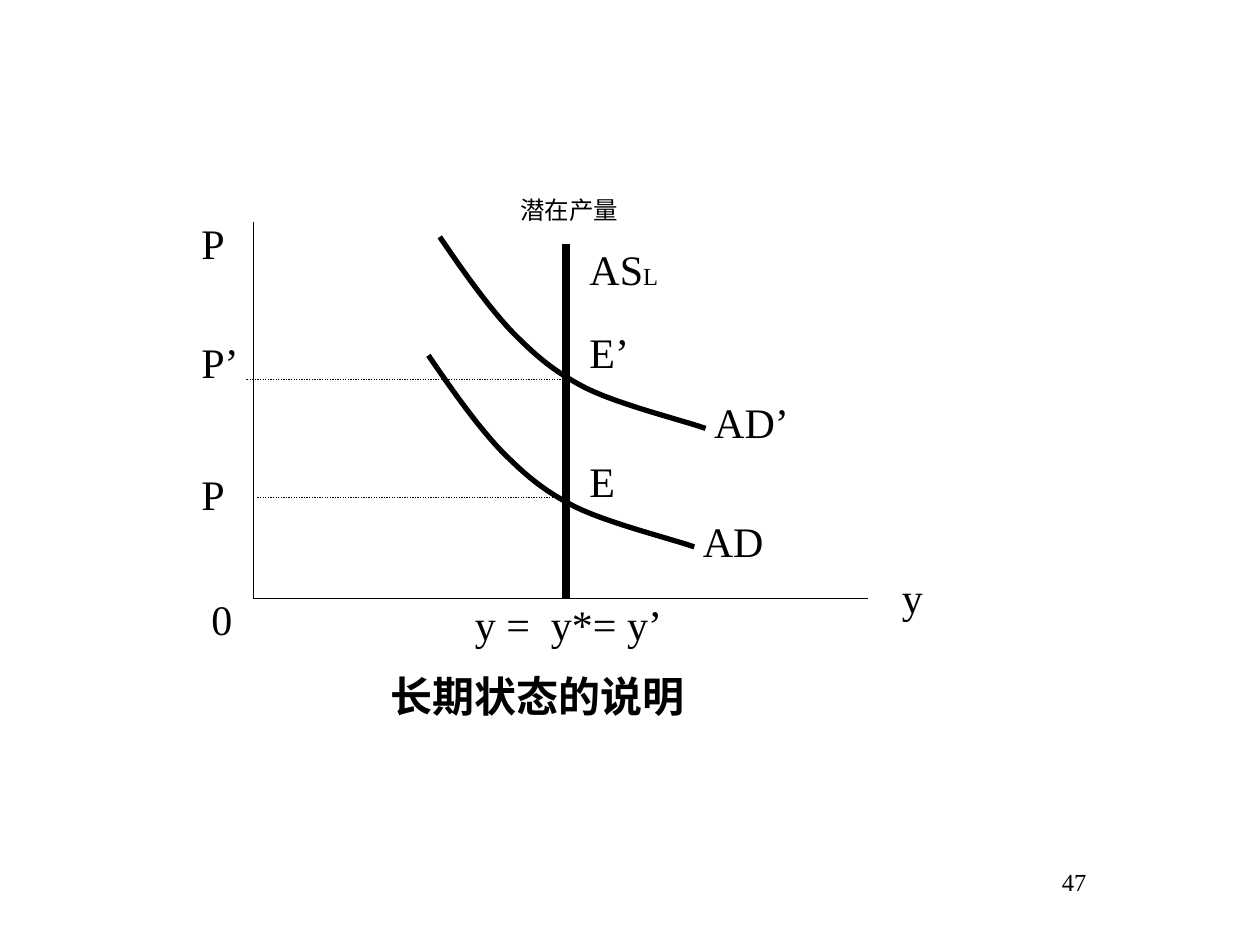
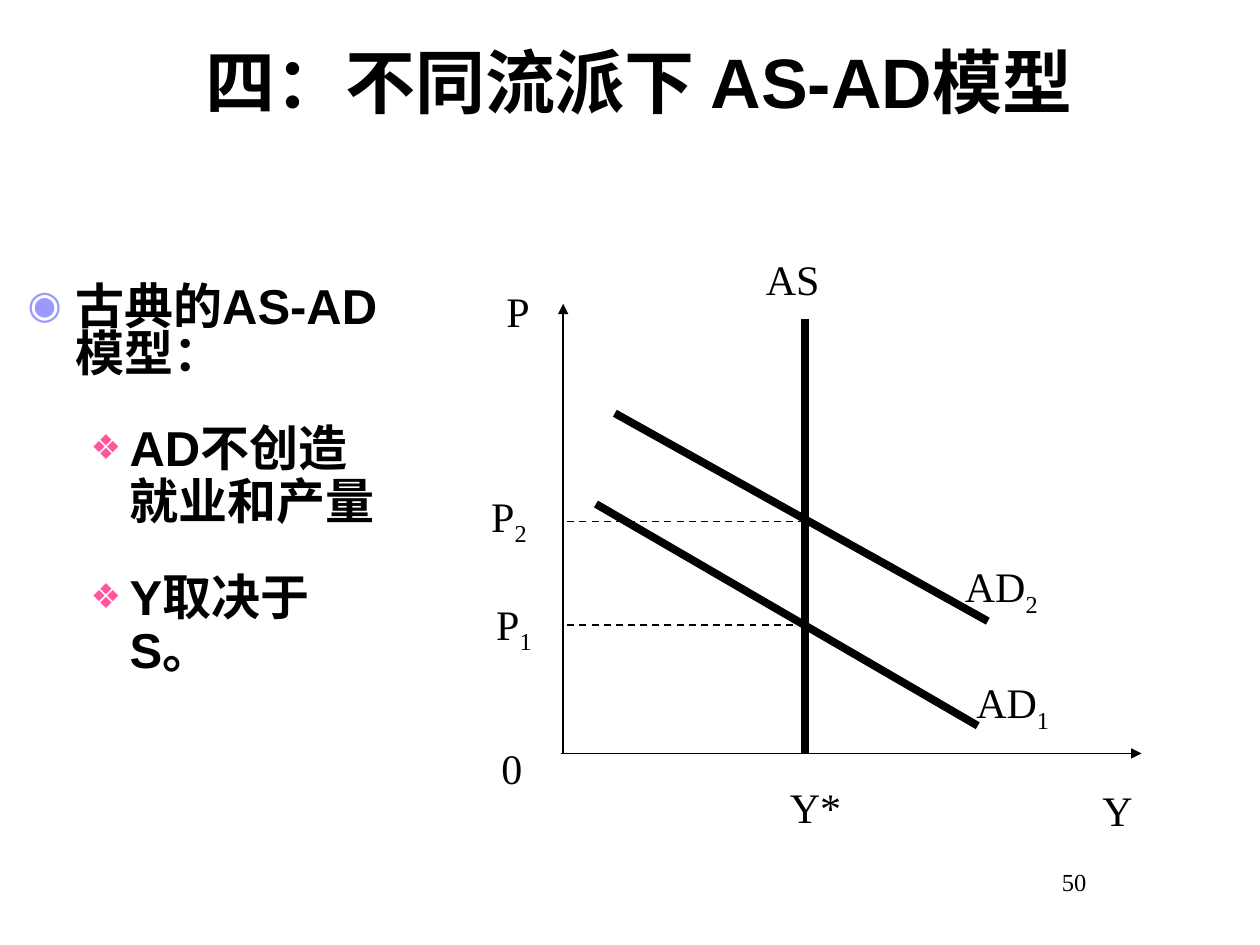
"""Build two slides that show the AS-AD model in the long run and in the classical school."""
import dataclasses

import lxml.etree
import pptx
import pptx.dml.color
import pptx.enum.dml
import pptx.enum.shapes
import pptx.enum.text
import pptx.oxml.ns
import pptx.util

Inches = pptx.util.Inches


@dataclasses.dataclass(frozen=True)
class Theme:
    ink: str = "000000"
    bullet: str = "9999FF"
    sub_bullet: str = "FF579B"
    serif: str = "Times New Roman"
    sans: str = "Arial"
    title_size: int = 40
    body_size: int = 28
    label_size: int = 24
    small_size: int = 14
    paragraph_gap: float = 24.5
    thin: float = 0.75
    axis: float = 1
    curve: float = 3
    thick: float = 4.5


THEME = Theme()
DOT = pptx.enum.dml.MSO_LINE.ROUND_DOT
DASH = pptx.enum.dml.MSO_LINE.DASH
LABEL_HEIGHT = 0.5
PAGE_NUMBER_BOX = (8.33, 6.83, 1.67)

LONG_RUN = {
    "page": "47",
    "lines": [
        ((2.01, 1.76), (2.01, 4.75), {"width": THEME.thin}),
        ((2.01, 4.75), (6.89, 4.75), {"width": THEME.thin}),
        ((4.49, 4.75), (4.49, 1.94), {"width": THEME.thick}),
        ((4.49, 3.95), (2.04, 3.95), {"width": THEME.thin, "dash": DOT}),
        ((4.49, 3.01), (1.95, 3.01), {"width": THEME.thin, "dash": DOT}),
    ],
    "labels": [
        ("P", (1.5, 1.68, 0.51), {}),
        ("P’", (1.5, 2.62, 0.6), {}),
        ("P", (1.5, 3.67, 0.77), {}),
        ("0", (1.58, 4.66, 0.43), {}),
        ("E", (4.58, 3.57, 0.43), {}),
        ("E’", (4.58, 2.54, 0.77), {}),
        ("AS", (4.58, 1.88, 1.2), {"suffix": "L", "suffix_size": THEME.small_size}),
        ("y =  y*= y’", (3.67, 4.7, 1.88), {}),
        ("y", (7.06, 4.49, 0.77), {}),
        ("AD", (5.48, 4.04, 0.94), {}),
        ("AD’", (5.57, 3.1, 0.94), {}),
        ("潜在产量", (4.03, 1.5, 1.71), {"size": THEME.small_size}),
        ("长期状态的说明", (3, 5.27, 4.19), {"bold": True}),
    ],
}
DEMAND_STARTS = [(3.49, 1.88), (3.4, 2.82)]
DEMAND_BEZIERS = [
    ((0, 0), (0.19, 0.28), (0.39, 0.56), (0.58, 0.76)),
    ((0.58, 0.76), (0.78, 0.96), (0.91, 1.07), (1.16, 1.2)),
    ((1.16, 1.2), (1.42, 1.33), (1.94, 1.46), (2.11, 1.52)),
]
BEZIER_STEPS = 12

CLASSICAL = {
    "page": "50",
    "lines": [
        ((4.45, 5.98), (9.06, 5.98), {"width": THEME.axis, "arrow": True}),
        ((4.47, 5.98), (4.47, 2.41), {"width": THEME.axis, "arrow": True}),
        ((4.73, 4), (7.76, 5.76), {"width": THEME.thick}),
        ((4.88, 3.28), (7.84, 4.93), {"width": THEME.thick}),
        ((6.39, 5.98), (6.39, 2.53), {"width": THEME.thick}),
        ((6.39, 4.14), (4.47, 4.14), {"width": THEME.axis, "dash": DASH}),
        ((6.39, 4.96), (4.47, 4.96), {"width": THEME.axis, "dash": DASH}),
    ],
    "labels": [
        ("P", (3.92, 2.22, 0.57), {}),
        ("P", (3.8, 3.84, 0.77), {"suffix": "2"}),
        ("P", (3.84, 4.7, 0.77), {"suffix": "1"}),
        ("AS", (5.98, 1.96, 1.1), {}),
        ("AD", (7.56, 4.4, 1), {"suffix": "2"}),
        ("AD", (7.65, 5.32, 1), {"suffix": "1"}),
        ("Y", (8.65, 6.18, 0.78), {}),
        ("Y*", (6.17, 6.15, 0.88), {}),
        ("0", (3.88, 5.84, 0.41), {}),
    ],
}
TITLE = "四：不同流派下 AS-AD模型"
TITLE_BOX = (1.53, 0.28, 8.08, 0.72)
BODY_BOX = (0.12, 2.23, 2.98, 4.67)
BODY = [("古典的AS-AD模型：", 0), ("AD不创造就业和产量", 1), ("Y取决于S。", 1)]
BODY_LEVELS = [
    {"margin": 0.38, "hanging": 0.38, "spacing": 0.8,
     "mark": "◉", "color": THEME.bullet, "percent": 80},
    {"margin": 0.81, "hanging": 0.31, "spacing": 0.9,
     "mark": "❖", "color": THEME.sub_bullet, "percent": 70},
]


def add_element(parent, tag, **attributes):
    element = lxml.etree.SubElement(parent, pptx.oxml.ns.qn(tag))
    for name, value in attributes.items():
        element.set(name, str(value))
    return element


def write_text(paragraph, text, *, size=THEME.label_size, font=THEME.serif, bold=False,
               suffix="", suffix_size=None):
    """Write text, then an optional suffix that is a subscript unless it has its own size."""
    for part in filter(None, (text, suffix)):
        run = paragraph.add_run()
        run.text = part
        run.font.name = font
        run.font.size = pptx.util.Pt(size)
        run.font.bold = bold
        run.font.color.rgb = pptx.dml.color.RGBColor.from_string(THEME.ink)
    if suffix and suffix_size:
        run.font.size = pptx.util.Pt(suffix_size)
    elif suffix:
        run._r.get_or_add_rPr().set("baseline", "-25000")


def add_text_box(slide, left, top, width, height=LABEL_HEIGHT):
    shape = slide.shapes.add_textbox(*map(Inches, (left, top, width, height)))
    shape.text_frame.word_wrap = True
    return shape.text_frame


def add_label(slide, text, box, **text_format):
    write_text(add_text_box(slide, *box).paragraphs[0], text, **text_format)


def style_line(line, width):
    line.color.rgb = pptx.dml.color.RGBColor.from_string(THEME.ink)
    line.width = pptx.util.Pt(width)


def add_line(slide, start, end, width, dash=None, arrow=False):
    connector = slide.shapes.add_connector(
        pptx.enum.shapes.MSO_CONNECTOR.STRAIGHT, *map(Inches, start + end))
    style_line(connector.line, width)
    if dash:
        connector.line.dash_style = dash
    if arrow:
        add_element(connector.line._get_or_add_ln(), "a:tailEnd", type="triangle")
    add_element(connector._element.spPr, "a:effectLst")


def bezier_point(points, t):
    weights = ((1 - t) ** 3, 3 * t * (1 - t) ** 2, 3 * t ** 2 * (1 - t), t ** 3)
    return [sum(w * point[axis] for w, point in zip(weights, points)) for axis in (0, 1)]


def add_demand_curve(slide, left, top):
    offsets = [bezier_point(bezier, step / BEZIER_STEPS)
               for bezier in DEMAND_BEZIERS for step in range(1, BEZIER_STEPS + 1)]
    builder = slide.shapes.build_freeform(Inches(left), Inches(top))
    builder.add_line_segments(
        [(Inches(left + x), Inches(top + y)) for x, y in offsets], close=False)
    shape = builder.convert_to_shape()
    shape.shadow.inherit = False
    shape.fill.background()
    style_line(shape.line, THEME.curve)


def add_bullet(paragraph, margin, hanging, spacing, mark, color, percent):
    paragraph.line_spacing = spacing
    properties = paragraph._p.get_or_add_pPr()
    properties.set("marL", str(Inches(margin)))
    properties.set("indent", str(-Inches(hanging)))
    add_element(add_element(properties, "a:buClr"), "a:srgbClr", val=color)
    add_element(properties, "a:buSzPct", val=percent * 1000)
    add_element(properties, "a:buFont", typeface=THEME.sans)
    add_element(properties, "a:buChar", char=mark)


def add_body(slide):
    frame = add_text_box(slide, *BODY_BOX)
    for index, (text, level) in enumerate(BODY):
        paragraph = frame.add_paragraph() if index else frame.paragraphs[0]
        paragraph.level = level
        if index:
            paragraph.space_before = pptx.util.Pt(THEME.paragraph_gap)
        add_bullet(paragraph, **BODY_LEVELS[level])
        write_text(paragraph, text, size=THEME.body_size, font=THEME.sans, bold=True)


def add_title(slide):
    title = slide.shapes.title
    title.left, title.top, title.width, title.height = map(Inches, TITLE_BOX)
    frame = title.text_frame
    frame.auto_size = pptx.enum.text.MSO_AUTO_SIZE.NONE
    frame.vertical_anchor = pptx.enum.text.MSO_ANCHOR.MIDDLE
    paragraph = frame.paragraphs[0]
    paragraph.alignment = pptx.enum.text.PP_ALIGN.LEFT
    write_text(paragraph, TITLE, size=THEME.title_size, font=THEME.sans, bold=True)


def add_diagram(slide, diagram):
    add_label(slide, diagram["page"], PAGE_NUMBER_BOX, size=THEME.small_size)
    for start, end, line_format in diagram["lines"]:
        add_line(slide, start, end, **line_format)
    for text, box, text_format in diagram["labels"]:
        add_label(slide, text, box, **text_format)


def main():
    presentation = pptx.Presentation()
    presentation.slide_width, presentation.slide_height = Inches(10), Inches(7.5)
    title_only, blank = presentation.slide_layouts[5], presentation.slide_layouts[6]

    long_run = presentation.slides.add_slide(blank)
    add_diagram(long_run, LONG_RUN)
    for start in DEMAND_STARTS:
        add_demand_curve(long_run, *start)

    classical = presentation.slides.add_slide(title_only)
    add_title(classical)
    add_body(classical)
    add_diagram(classical, CLASSICAL)
    presentation.save("out.pptx")


if __name__ == "__main__":
    main()
